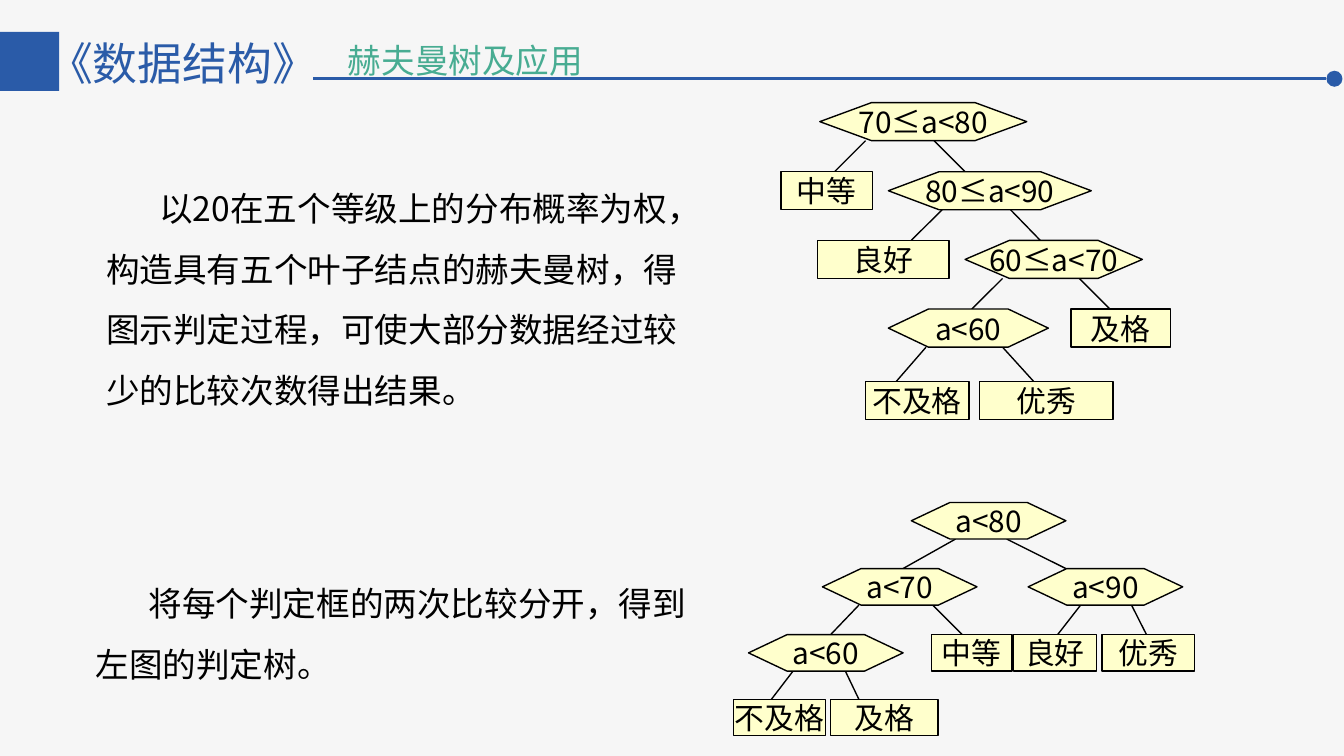
from dataclasses import dataclass
from lxml.etree import SubElement
from pptx import Presentation
from pptx.dml.color import RGBColor
from pptx.enum.shapes import MSO_CONNECTOR, MSO_SHAPE
from pptx.enum.text import MSO_ANCHOR, MSO_AUTO_SIZE, PP_ALIGN
from pptx.oxml.ns import qn
from pptx.util import Pt


@dataclass(frozen=True)
class Theme:
    font: str = "Noto Sans CJK JP"
    background: RGBColor = RGBColor(0xF6, 0xF6, 0xF6)
    blue: RGBColor = RGBColor(0x2A, 0x5B, 0xA8)
    green: RGBColor = RGBColor(0x48, 0xAC, 0x92)
    ink: RGBColor = RGBColor(0, 0, 0)
    node: RGBColor = RGBColor(0xFF, 0xFF, 0xCC)
    course: int = 24
    body: int = 18
    label: int = 16


theme = Theme()


def write(tf, text, size, color):
    """Add a run to the first paragraph, with the same Latin and East Asian font."""
    p = tf.paragraphs[0]
    r = p.add_run()
    r.text = text
    r.font.size = Pt(size)
    r.font.name = theme.font
    r.font.color.rgb = color
    SubElement(r._r.get_or_add_rPr(), qn("a:ea"), typeface=theme.font)
    return p


def add_line(shapes, x1, y1, x2, y2, color, width):
    line = shapes.add_connector(MSO_CONNECTOR.STRAIGHT, Pt(x1), Pt(y1), Pt(x2), Pt(y2))
    line.line.color.rgb = color
    line.line.width = Pt(width)
    SubElement(line._element.spPr, qn("a:effectLst"))


prs = Presentation()
prs.slide_width, prs.slide_height = Pt(720), Pt(405)
s = prs.slides.add_slide(prs.slide_layouts.get_by_name("Two Content"))
s.background.fill.solid()
s.background.fill.fore_color.rgb = theme.background

# Header
title = s.shapes.title
title.left, title.top, title.width, title.height = Pt(181.4), Pt(18.7), Pt(221), Pt(28.1)
tf = title.text_frame
tf.auto_size = MSO_AUTO_SIZE.NONE
tf.vertical_anchor = MSO_ANCHOR.TOP
tf.margin_left = tf.margin_right = Pt(5)
tf.margin_top = tf.margin_bottom = Pt(2.9)
write(tf, "赫夫曼树及应用", theme.body, theme.green).alignment = PP_ALIGN.LEFT

course = s.shapes.add_textbox(Pt(18.7), Pt(15.8), Pt(162.7), Pt(36))
course.text_frame.word_wrap = True
write(course.text_frame, "《数据结构》", theme.course, theme.blue)

add_line(s.shapes, 167.8, 42.2, 710.6, 42.2, theme.blue, 1.75)
for kind, x, y, size in [
    (MSO_SHAPE.RECTANGLE, 0, 17.1, 31.7),
    (MSO_SHAPE.OVAL, 710.6, 37.9, 8.6),
]:
    sp = s.shapes.add_shape(kind, Pt(x), Pt(y), Pt(size), Pt(size))
    sp.shadow.inherit = False
    sp.fill.solid()
    sp.fill.fore_color.rgb = theme.blue
    sp.line.fill.background()

# Explanations
for idx, x, y, h, text in [
    (1, 49.7, 86.4, 134.6,
     "以20在五个等级上的分布概率为权，构造具有五个叶子结点的赫夫曼树，"
     "得图示判定过程，可使大部分数据经过较少的比较次数得出结果。"),
    (2, 43.9, 298.1, 72.7, "将每个判定框的两次比较分开，得到左图的判定树。"),
]:
    sp = s.placeholders[idx]
    sp.left, sp.top, sp.width, sp.height = Pt(x), Pt(y), Pt(337), Pt(h)
    tf = sp.text_frame
    tf.auto_size = MSO_AUTO_SIZE.NONE
    p = write(tf, text, theme.body, theme.ink)
    pPr = p._p.get_or_add_pPr()
    pPr.set("marL", "0")
    pPr.set("indent", str(Pt(28.5)))
    SubElement(pPr, qn("a:buNone"))
    p.line_spacing = 1.5
    p.space_before = Pt(0)

# Decision trees: row tops, node height, nodes (text, row, x, width), edges (row, x1, x2)
huffman_tree = (
    [55, 92, 128.8, 165.6, 204.3], 20.4,
    [("70≤a<80", 0, 439.2, 110.9),
     ("中等", 1, 418.3, 49), ("80≤a<90", 1, 475.9, 108.7),
     ("良好", 2, 437.8, 70.6), ("60≤a<70", 2, 517, 95),
     ("a<60", 3, 475.9, 85.7), ("及格", 3, 573.8, 53.3),
     ("不及格", 4, 463.7, 55.4), ("优秀", 4, 524.9, 71.3)],
    [(0, 463.7, 447.1), (0, 500.4, 517),
     (1, 504.7, 488.2), (1, 541.4, 557.3),
     (2, 537.1, 520.6), (2, 578.2, 594.7),
     (3, 496.1, 480.2), (3, 537.1, 553.7)],
)
split_tree = (
    [269.2, 304.6, 340, 374.6], 19.6,
    [("a<80", 0, 488.2, 82.8),
     ("a<70", 1, 440.6, 82.8), ("a<90", 1, 550.8, 82.8),
     ("a<60", 2, 401, 82.8), ("中等", 2, 499, 43.2),
     ("良好", 2, 542.9, 44.6), ("优秀", 2, 590.4, 49.7),
     ("不及格", 3, 393.1, 49), ("及格", 3, 445, 57.6)],
    [(0, 511.9, 483.8), (0, 539.3, 571),
     (1, 460.1, 445), (1, 499.7, 515.5),
     (1, 578.9, 566.6), (1, 606.2, 614.2),
     (2, 424.8, 413.3), (2, 452.9, 460.1)],
)

for tops, height, nodes, edges in (huffman_tree, split_tree):
    tree = s.shapes.add_group_shape().shapes
    for row, x1, x2 in edges:
        add_line(tree, x1, tops[row] + height, x2, tops[row + 1], theme.ink, 0.75)
    for text, row, x, width in nodes:
        is_test = "<" in text
        kind = MSO_SHAPE.HEXAGON if is_test else MSO_SHAPE.RECTANGLE
        sp = tree.add_shape(kind, Pt(x), Pt(tops[row]), Pt(width), Pt(height))
        if is_test:
            sp.adjustments[0] = width / 4 / height  # slanted ends take a quarter each
        sp.shadow.inherit = False
        sp.fill.solid()
        sp.fill.fore_color.rgb = theme.node
        sp.line.color.rgb = theme.ink
        sp.line.width = Pt(0.75)
        tf = sp.text_frame
        tf.word_wrap = False
        tf.vertical_anchor = MSO_ANCHOR.MIDDLE
        write(tf, text, theme.label, theme.ink).alignment = PP_ALIGN.CENTER

prs.save("out.pptx")
